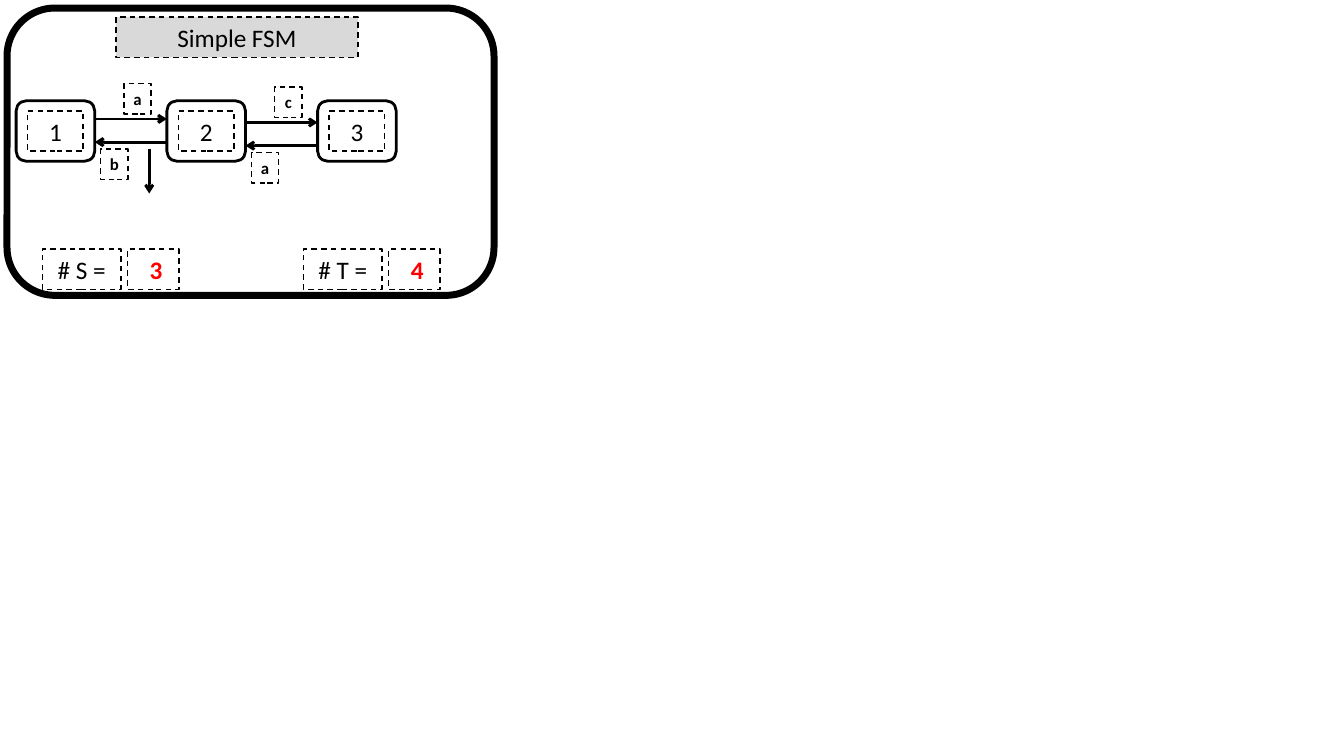
from lxml.etree import SubElement
from pptx import Presentation
from pptx.dml.color import RGBColor
from pptx.enum.dml import MSO_LINE
from pptx.enum.shapes import MSO_CONNECTOR, MSO_SHAPE
from pptx.enum.text import MSO_ANCHOR, PP_ALIGN
from pptx.oxml.ns import qn
from pptx.util import Inches, Pt

BLACK, RED, GREY = "000000", "FF0000", "D9D9D9"
STATE_W, STATE_H, STATE_STEP = 0.78, 0.6, 1.495
TEXT_H = 0.4


def rgb(value):
    """Turn a hex string into a colour."""
    return RGBColor.from_string(value)


def set_line(sp, width, dash=None):
    """Give a shape or connector a black line."""
    sp.line.color.rgb = rgb(BLACK)
    sp.line.width = Pt(width)
    if dash:
        sp.line.dash_style = dash


def place(sp, x, y, w, h):
    """Move and size a shape."""
    sp.left, sp.top, sp.width, sp.height = map(Inches, (x, y, w, h))


def write(sp, text, size=18, color=BLACK, bold=False):
    """Write centred text inside a dashed border."""
    set_line(sp, 1, MSO_LINE.DASH)
    tf = sp.text_frame
    tf.word_wrap = True
    tf.vertical_anchor = MSO_ANCHOR.MIDDLE
    tf.margin_left = tf.margin_right = tf.margin_top = tf.margin_bottom = 0
    p = tf.paragraphs[0]
    p.alignment = PP_ALIGN.CENTER
    r = p.add_run()
    r.text = text
    r.font.name, r.font.size, r.font.bold = "Calibri", Pt(size), bold
    r.font.color.rgb = rgb(color)


def add_text(shapes, box, text, **style):
    """Add a dashed text box."""
    write(shapes.add_textbox(*map(Inches, box)), text, **style)


def add_frame(shapes, x, y, w, h, width):
    """Add an unfilled rounded frame."""
    sp = shapes.add_shape(MSO_SHAPE.ROUNDED_RECTANGLE, *map(Inches, (x, y, w, h)))
    sp.shadow.inherit = False
    sp.fill.background()
    set_line(sp, width)


def add_arrow(s, x1, y1, x2, y2):
    """Add a straight arrow with an open head at its end."""
    cx = s.shapes.add_connector(MSO_CONNECTOR.STRAIGHT, *map(Inches, (x1, y1, x2, y2)))
    set_line(cx, 2)
    cx.line._get_or_add_ln().append(
        cx._element.makeelement(qn("a:tailEnd"), {"type": "arrow"}))
    SubElement(cx._element.spPr, qn("a:effectLst"))


def add_state(s, x, y, name):
    """Add one state: a rounded frame grouped with its name."""
    shapes = s.shapes.add_group_shape().shapes
    add_frame(shapes, x, y, STATE_W, STATE_H, 2)
    add_text(shapes, (x + 0.115, y + 0.1, 0.55, TEXT_H), name)


def add_transitions(s, x, y, forward, back):
    """Add the arrow pair between two states with its letters."""
    gap = STATE_STEP - STATE_W
    add_arrow(s, x, y, x + gap, y)
    add_arrow(s, x + gap, y + 0.23, x, y + 0.23)
    for dx, dy, letter in ((0.29, -0.35, forward), (0.06, 0.3, back)):
        add_text(s.shapes, (x + dx, y + dy, 0.27, 0.3), letter, size=12, bold=True)


def add_count(s, x, y, label, value):
    """Add a count label and its red value."""
    add_text(s.shapes, (x, y, 0.78, TEXT_H), label)
    add_text(s.shapes, (x + 0.845, y, 0.51, TEXT_H), value, color=RED, bold=True)


def add_title(s, x, y, w, h, text):
    """Move and format the title placeholder."""
    sp = s.shapes.title
    place(sp, x, y, w, h)
    sp.fill.solid()
    sp.fill.fore_color.rgb = rgb(GREY)
    write(sp, text)


def add_machine(s, x, y, w, h):
    """Draw the whole state machine card in its box."""
    add_frame(s.shapes, x, y, w, h, 5)
    add_title(s, x + 1.08, y + 0.09, 2.4, TEXT_H, "Simple FSM")
    left, top = x + 0.09, y + 0.92
    for i, name in enumerate("123"):
        add_state(s, left + i * STATE_STEP, top, name)
    for i, (forward, back) in enumerate(("ab", "ca")):
        add_transitions(s, left + STATE_W + i * STATE_STEP,
                        top + 0.18 + i * 0.035, forward, back)
    add_arrow(s, x + 1.41, y + 1.4, x + 1.41, y + 1.84)
    for dx, label, value in ((0.35, " # S = ", " 3"), (2.94, " # T = ", " 4")):
        add_count(s, x + dx, y + h - 0.46, label, value)


prs = Presentation()
prs.slide_width, prs.slide_height = Inches(13.33), Inches(7.5)
s = prs.slides.add_slide(prs.slide_layouts[5])
add_machine(s, 0.07, 0.08, 4.83, 2.85)
prs.save("out.pptx")
